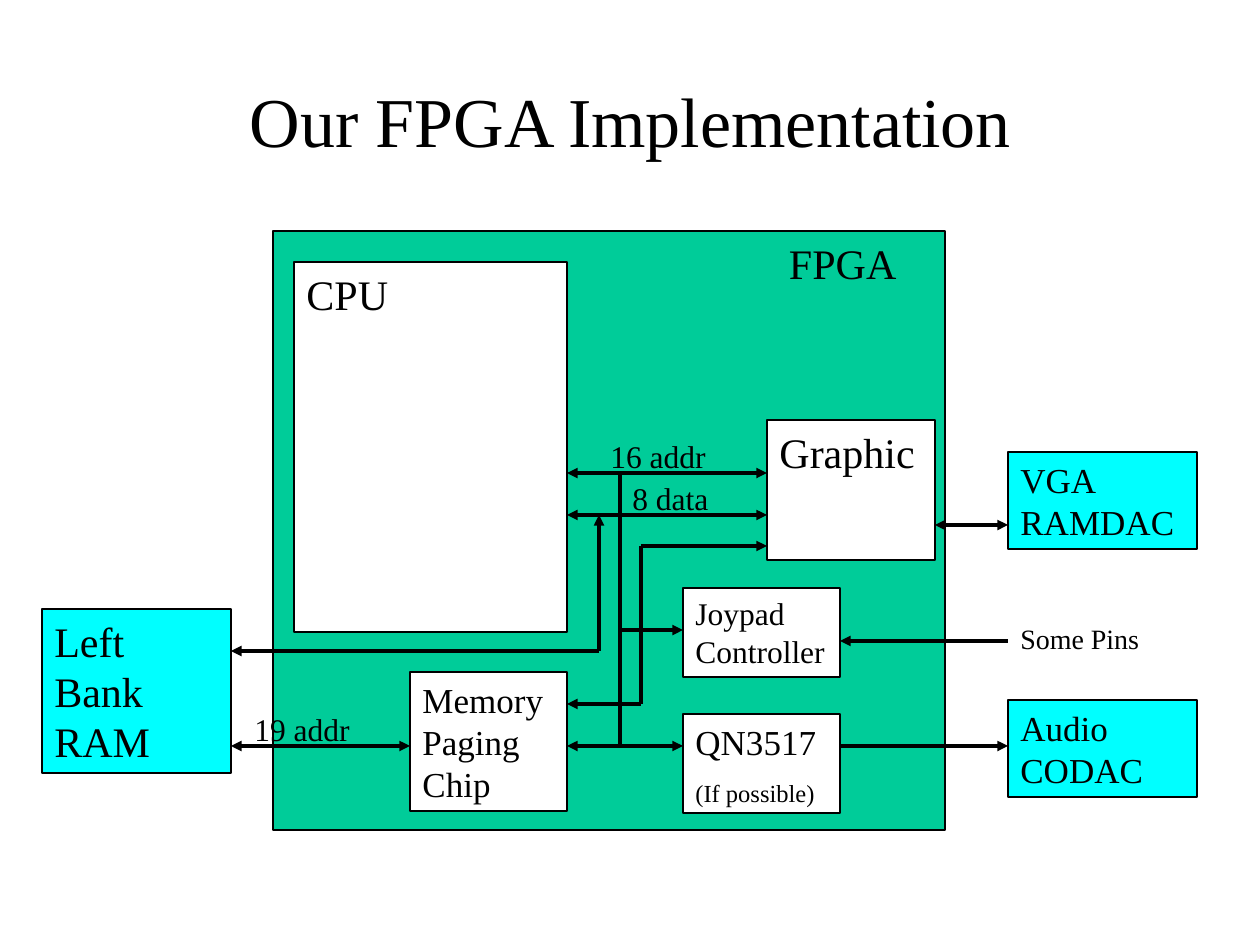
import pptx
import pptx.dml.color
import pptx.enum.shapes
import pptx.enum.text
import pptx.oxml.ns
import pptx.util

PX = 914400 / 126
FONT = "Times New Roman"
COLORS = {"ink": "000000", "white": "FFFFFF", "fpga": "00CC99", "external": "00FFFF"}


def px(length):
    return pptx.util.Emu(round(length * PX))


def color(name):
    return pptx.dml.color.RGBColor.from_string(COLORS[name])


def add_element(parent, tag, **attributes):
    parent.append(parent.makeelement(pptx.oxml.ns.qn(tag), attributes))


class Diagram:
    def __init__(self, deck):
        self.page = deck.slides.add_slide(deck.slide_layouts[5])
        self.shapes = self.page.shapes

    def format_text(self, frame, sizes):
        frame.word_wrap = True
        for para, size in zip(frame.paragraphs, sizes):
            para.alignment = pptx.enum.text.PP_ALIGN.LEFT
            for span in para.runs:
                span.font.name = FONT
                span.font.size = pptx.util.Pt(size)
                span.font.color.rgb = color("ink")

    def title(self, text, left, top, width, height):
        box = self.shapes.title
        box.left, box.top, box.width, box.height = map(px, (left, top, width, height))
        box.text_frame.text = text
        self.format_text(box.text_frame, [40])
        box.text_frame.vertical_anchor = pptx.enum.text.MSO_ANCHOR.MIDDLE
        box.text_frame.paragraphs[0].alignment = pptx.enum.text.PP_ALIGN.CENTER

    def block(self, text, fill, sizes, left, top, width, height):
        box = self.shapes.add_shape(
            pptx.enum.shapes.MSO_SHAPE.RECTANGLE, *map(px, (left, top, width, height)))
        box.shadow.inherit = False
        box.fill.solid()
        box.fill.fore_color.rgb = color(fill)
        box.line.color.rgb = color("ink")
        box.line.width = pptx.util.Pt(0.75)
        box.text_frame.vertical_anchor = pptx.enum.text.MSO_ANCHOR.TOP
        box.text_frame.text = text
        self.format_text(box.text_frame, sizes)
        return box

    def label(self, text, size, left, top, width, height):
        box = self.shapes.add_textbox(*map(px, (left, top, width, height)))
        box.text_frame.text = text
        self.format_text(box.text_frame, [size])

    def wire(self, start, end, arrows=()):
        line = self.shapes.add_connector(
            pptx.enum.shapes.MSO_CONNECTOR.STRAIGHT, *map(px, start + end))
        line.line.color.rgb = color("ink")
        line.line.width = pptx.util.Pt(2)
        properties = line._element.spPr
        outline = properties.find(pptx.oxml.ns.qn("a:ln"))
        for tag in arrows:
            add_element(outline, tag, type="triangle")
        add_element(properties, "a:effectLst")


def main():
    deck = pptx.Presentation()
    deck.slide_width, deck.slide_height = px(1260), px(945)
    diagram = Diagram(deck)
    diagram.title("Our FPGA Implementation", 95, 41, 1071, 157)

    # FPGA and the blocks inside it
    fpga = diagram.block("FPGA", "fpga", [24], 273, 231, 672, 599)
    fpga.text_frame.margin_left = px(516)
    diagram.block("CPU", "white", [24], 294, 262, 273, 370)
    diagram.block("Graphic", "white", [24], 767, 420, 168, 140)
    diagram.block("Memory Paging Chip", "white", [20], 410, 672, 157, 139)
    diagram.block("Joypad Controller", "white", [18], 683, 588, 157, 89)
    sound = diagram.block("QN3517\n(If possible)", "white", [20, 14], 683, 714, 157, 99)
    sound.text_frame.paragraphs[1].space_before = pptx.util.Pt(8.8)

    # External chips
    diagram.block("VGA RAMDAC", "external", [20], 1008, 452, 189, 97)
    diagram.block("Audio CODAC", "external", [20], 1008, 700, 189, 97)
    diagram.block("Left Bank RAM", "external", [24], 42, 609, 189, 164)

    # Buses and signals: headEnd is at the start, tailEnd at the end
    head, tail = ("a:headEnd",), ("a:tailEnd",)
    both = head + tail
    for start, end, arrows in [
        ((567, 473), (767, 473), both),
        ((567, 515), (767, 515), both),
        ((935, 525), (1008, 525), both),
        ((620, 746), (620, 473), ()),
        ((567, 746), (683, 746), both),
        ((620, 630), (683, 630), tail),
        ((599, 651), (599, 515), tail),
        ((231, 651), (599, 651), head),
        ((231, 746), (410, 746), both),
        ((840, 641), (1008, 641), head),
        ((840, 746), (1008, 746), tail),
        ((567, 704), (641, 704), head),
        ((641, 704), (641, 546), ()),
        ((641, 546), (767, 546), tail),
    ]:
        diagram.wire(start, end, arrows)

    # Signal names
    diagram.label("16 addr", 18, 598, 431, 136, 50)
    diagram.label("8 data", 18, 620, 473, 126, 50)
    diagram.label("19 addr", 18, 242, 704, 136, 50)
    diagram.label("Some Pins", 16, 1008, 615, 158, 47)

    deck.save("out.pptx")


if __name__ == "__main__":
    main()
